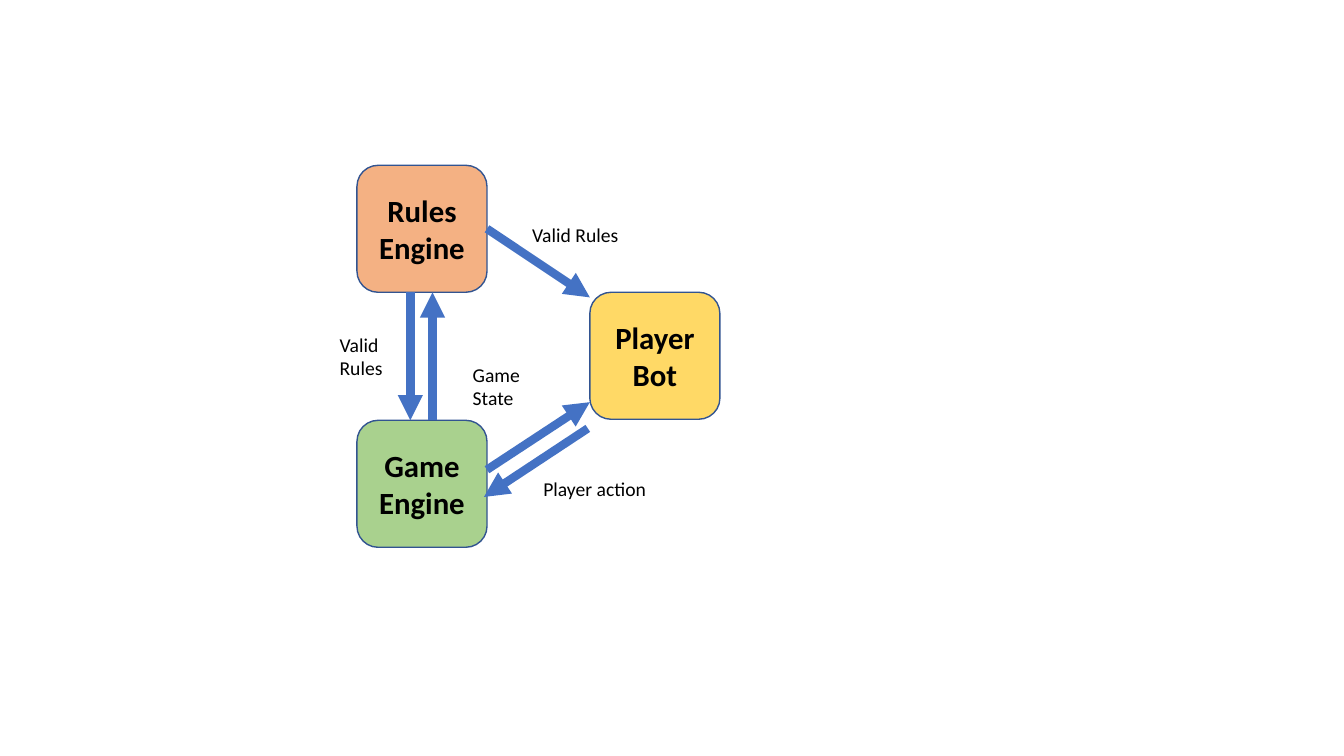
from lxml import etree
from pptx import Presentation
from pptx.dml.color import RGBColor
from pptx.enum.shapes import MSO_CONNECTOR, MSO_SHAPE
from pptx.enum.text import MSO_ANCHOR, MSO_AUTO_SIZE, PP_ALIGN
from pptx.oxml.ns import qn
from pptx.util import Inches, Pt

ROUNDED = MSO_SHAPE.ROUNDED_RECTANGLE
STRAIGHT = MSO_CONNECTOR.STRAIGHT
MIDDLE = MSO_ANCHOR.MIDDLE
CENTER = PP_ALIGN.CENTER
FIT_SHAPE = MSO_AUTO_SIZE.SHAPE_TO_FIT_TEXT

BOX_W, BOX_H = 1.29, 1.26


def rgb(value):
    return RGBColor.from_string(value)


class Diagram:
    font_name = "Calibri"
    text_color = "000000"
    outline_color = "325491"
    arrow_color = "4472C4"

    def __init__(self, slide):
        self.slide = slide

    def style(self, paragraph, size, bold=False):
        font = paragraph.font
        font.name, font.size, font.bold = self.font_name, Pt(size), bold
        font.color.rgb = rgb(self.text_color)

    def component(self, name, left, top, fill):
        box = self.slide.shapes.add_shape(
            ROUNDED, Inches(left), Inches(top), Inches(BOX_W), Inches(BOX_H))
        box.shadow.inherit = False
        box.fill.solid()
        box.fill.fore_color.rgb = rgb(fill)
        box.line.color.rgb = rgb(self.outline_color)
        box.line.width = Pt(1)
        frame = box.text_frame
        frame.word_wrap = True
        frame.vertical_anchor = MIDDLE
        frame.text = name
        frame.paragraphs[0].alignment = CENTER
        self.style(frame.paragraphs[0], 22, bold=True)

    def arrow(self, start, end):
        """Draw an arrow that points at end."""
        points = [Inches(value) for value in (*start, *end)]
        connector = self.slide.shapes.add_connector(STRAIGHT, *points)
        connector.line.color.rgb = rgb(self.arrow_color)
        connector.line.width = Pt(6)
        line = connector.line._get_or_add_ln()
        etree.SubElement(line, qn("a:tailEnd"), type="triangle")
        etree.SubElement(connector._element.spPr, qn("a:effectLst"))

    def label(self, text, left, top, width, height):
        box = self.slide.shapes.add_textbox(
            Inches(left), Inches(top), Inches(width), Inches(height))
        frame = box.text_frame
        frame.word_wrap = False
        frame.auto_size = FIT_SHAPE
        frame.text = text
        for paragraph in frame.paragraphs:
            self.style(paragraph, 14)


prs = Presentation()
prs.slide_width, prs.slide_height = Inches(13.33), Inches(7.5)
diagram = Diagram(prs.slides.add_slide(prs.slide_layouts[6]))

# Components: engines in the left column, bot halfway between them
engine_left, bot_left = 3.54, 5.85
rules_top = 1.64
bot_top = rules_top + BOX_H
game_top = bot_top + BOX_H + 0.01
diagram.component("Game Engine", engine_left, game_top, "A9D18E")
diagram.component("Player Bot", bot_left, bot_top, "FFD966")
diagram.component("Rules Engine", engine_left, rules_top, "F4B183")

# Flows between the two engines
rules_x, state_x = 4.07, 4.29
diagram.arrow((state_x, game_top), (state_x, bot_top))
diagram.arrow((rules_x, bot_top), (rules_x, game_top))

# Flows between the engines and the bot
engine_right = engine_left + BOX_W
diagram.arrow((engine_right, 4.66), (bot_left, 3.99))
diagram.arrow((engine_right, rules_top + BOX_H / 2), (bot_left, 2.95))
diagram.arrow((5.83, 4.25), (4.8, 4.93))

# Flow labels
for flow in (
    ("Valid Rules", 5.18, 2.16, 1.08, 0.34),
    ("Valid\nRules", 3.27, 3.25, 0.64, 0.57),
    ("Game\nState", 4.59, 3.55, 0.68, 0.57),
    ("Player action", 5.29, 4.68, 1.25, 0.34),
):
    diagram.label(*flow)

prs.save("out.pptx")
